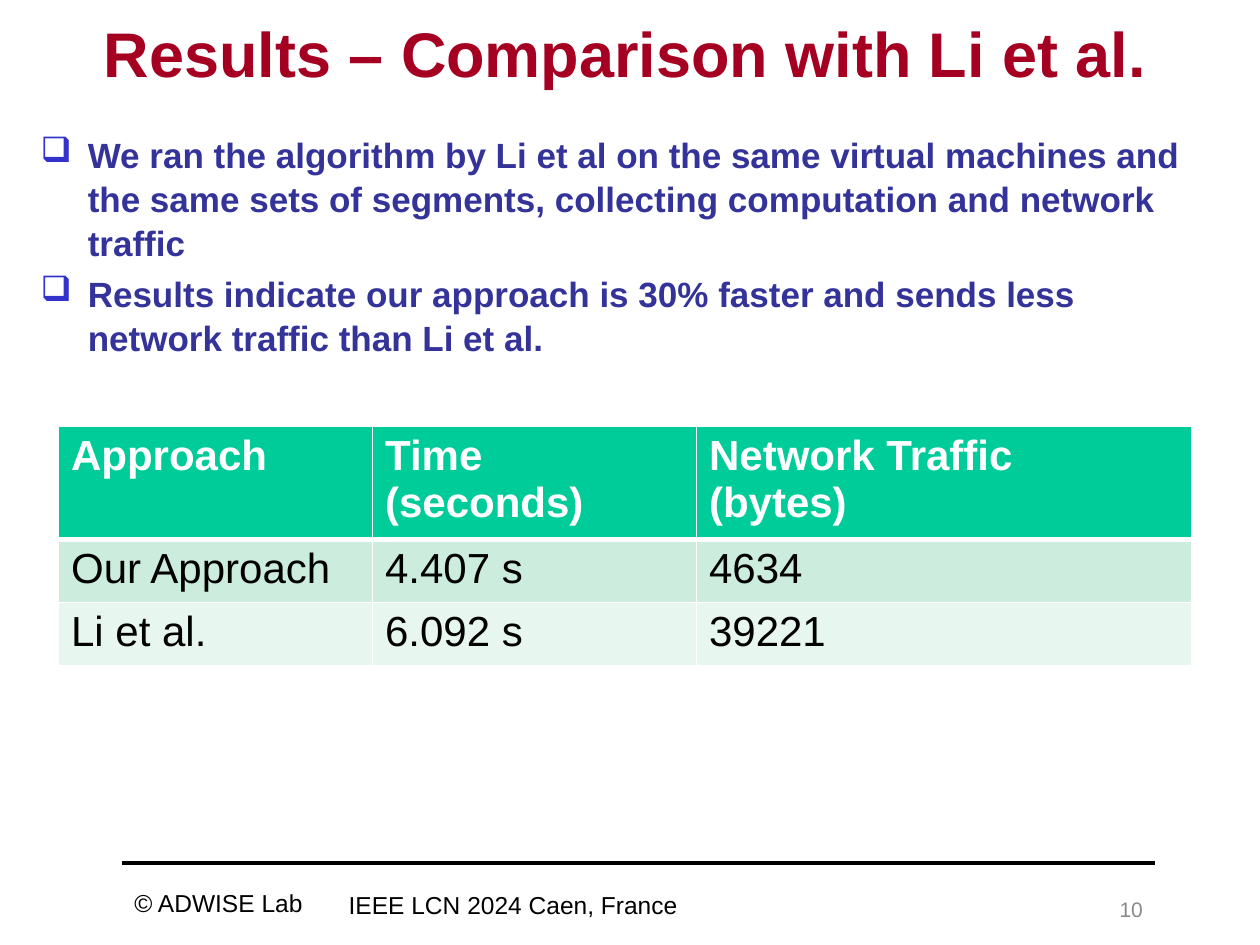
from lxml import etree
from pptx import Presentation
from pptx.dml.color import RGBColor
from pptx.enum.shapes import MSO_CONNECTOR
from pptx.enum.text import MSO_ANCHOR, PP_ALIGN
from pptx.oxml.ns import qn
from pptx.util import Cm, Pt

LINE = MSO_CONNECTOR.STRAIGHT
TOP, MIDDLE = MSO_ANCHOR.TOP, MSO_ANCHOR.MIDDLE
LEFT, CENTER, RIGHT = PP_ALIGN.LEFT, PP_ALIGN.CENTER, PP_ALIGN.RIGHT
COLORS = {
    "black": "000000", "white": "FFFFFF", "red": "A50021", "navy": "333399",
    "mark": "3333CC", "gray": "898989", "head": "00CC99",
    "odd": "CCECDE", "even": "E7F6EF",
}


def color(name):
    return RGBColor.from_string(COLORS[name])


class Deck:
    """Holds the font and the current slide."""

    def __init__(self, font):
        self.font = font
        self.prs = Presentation()
        self.prs.slide_width, self.prs.slide_height = Cm(25.4), Cm(19.05)
        self.slide = self.prs.slides.add_slide(self.prs.slide_layouts[6])
        self.shapes = self.slide.shapes

    def run(self, para, text, size, ink, bold=False):
        run = para.add_run()
        run.text = text
        font = run.font
        font.name, font.size, font.bold = self.font, Pt(size), bold
        font.color.rgb = color(ink)

    def bullet(self, para):
        props = para._p.get_or_add_pPr()
        props.set("marL", str(Cm(0.95)))
        props.set("indent", str(-Cm(0.95)))
        fill = etree.SubElement(props, qn("a:buClr"))
        etree.SubElement(fill, qn("a:srgbClr"), val=COLORS["mark"])
        etree.SubElement(props, qn("a:buChar"), char="❑")

    def text(self, box, lines, size, ink, bold=False, align=LEFT,
             anchor=TOP, inset=(0.25, 0.13), bullets=False):
        frame = self.shapes.add_textbox(*map(Cm, box)).text_frame
        frame.word_wrap = True
        frame.vertical_anchor = anchor
        frame.margin_left = frame.margin_right = Cm(inset[0])
        frame.margin_top = frame.margin_bottom = Cm(inset[1])
        for i, line in enumerate(lines):
            para = frame.add_paragraph() if i else frame.paragraphs[0]
            para.alignment = align
            if bullets:
                self.bullet(para)
                para.line_spacing = 1.05
                if i:
                    para.space_before = Pt(4)
            self.run(para, line, size, ink, bold)

    def rule(self, left, right, y, width):
        line = self.shapes.add_connector(LINE, Cm(left), Cm(y), Cm(right), Cm(y))
        line.line.color.rgb = color("black")
        line.line.width = Pt(width)
        etree.SubElement(line._element.spPr, qn("a:effectLst"))

    def edge(self, cell, side, width):
        line = etree.Element(qn(f"a:ln{side}"), w=str(Pt(width)))
        fill = etree.SubElement(line, qn("a:solidFill"))
        etree.SubElement(fill, qn("a:srgbClr"), val=COLORS["white"])
        return line

    def cell(self, cell, text, row):
        cell.fill.solid()
        cell.fill.fore_color.rgb = color(("head", "odd", "even")[row])
        # Borders come before the fill; a thick one parts head and body
        props = cell._tc.get_or_add_tcPr()
        thick = {0: "B", 1: "T"}.get(row)
        for i, side in enumerate("LRTB"):
            props.insert(i, self.edge(cell, side, 3 if side == thick else 1))
        frame = cell.text_frame
        for i, line in enumerate(text.split("\n")):
            para = frame.add_paragraph() if i else frame.paragraphs[0]
            self.run(para, line, 24, "black" if row else "white", not row)

    def table(self, left, top, widths, heights, rows):
        table = self.shapes.add_table(
            len(rows), len(widths), Cm(left), Cm(top),
            Cm(sum(widths)), Cm(sum(heights))).table
        for col, width in zip(table.columns, widths):
            col.width = Cm(width)
        for r, row in enumerate(rows):
            table.rows[r].height = Cm(heights[r])
            for c, text in enumerate(row):
                self.cell(table.cell(r, c), text, r)


def main():
    deck = Deck("Arial")

    # Title and findings
    deck.text((0.64, 0, 23.93, 2.11), ["Results – Comparison with Li et al."],
              36, "red", True, CENTER, MIDDLE, (0.18, 0.1))
    deck.text((0.64, 2.54, 23.93, 14.81), [
        "We ran the algorithm by Li et al on the same virtual machines and "
        "the same sets of segments, collecting computation and network traffic",
        "Results indicate our approach is 30% faster and sends less "
        "network traffic than Li et al.",
    ], 20, "navy", True, inset=(0.18, 0.1), bullets=True)

    # Comparison table
    deck.table(1.18, 8.59, (6.33, 6.53, 9.99), (2.12, 1.19, 1.19), [
        ("Approach", "Time (seconds)", "Network Traffic\n(bytes)"),
        ("Our Approach", "4.407 s", "4634"),
        ("Li et al.", "6.092 s", "39221"),
    ])

    # Footer
    deck.rule(2.46, 23.29, 17.4, 2.25)
    deck.text((2.46, 17.78, 4.1, 0.86), ["© ADWISE Lab"], 14, "black")
    deck.text((6.78, 17.81, 13.13, 0.99), ["IEEE LCN 2024 Caen, France"],
              14, "black")
    deck.text((20.32, 17.81, 2.97, 1.02), ["10"], 12, "gray",
              align=RIGHT, anchor=MIDDLE)

    deck.prs.save("out.pptx")


if __name__ == "__main__":
    main()
